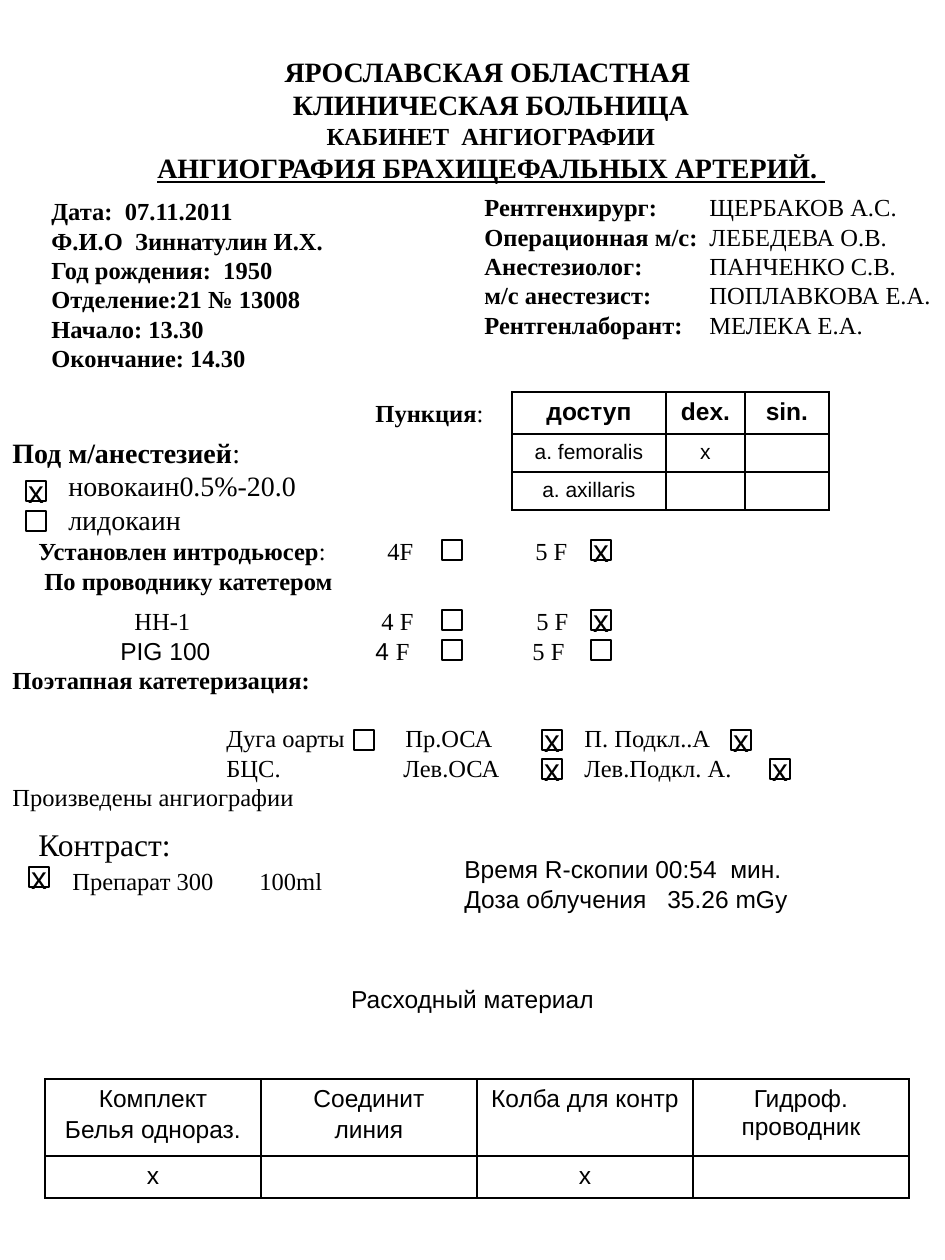
from lxml.etree import SubElement
from pptx import Presentation
from pptx.dml.color import RGBColor as Rgb
from pptx.enum.shapes import MSO_SHAPE as Shape
from pptx.enum.text import MSO_ANCHOR as Anchor, PP_ALIGN as Align
from pptx.oxml.ns import qn
from pptx.util import Emu, Pt

COLORS = {"ink": "000000"}
INK = Rgb.from_string(COLORS["ink"])
SERIF = {"name": "Times New Roman", "size": Pt(14)}
SANS = {"name": "Arial", "size": Pt(14)}
BOLD = {"bold": True}
PLAIN = {"bold": False}
LARGE = {"size": Pt(16)}


def px(value):
    return Emu(round(value * 914400 / 126))


def write(frame, lines, base, align=Align.LEFT):
    for index, (runs, tabs, gap) in enumerate(lines):
        line = frame.paragraphs[0] if index == 0 else frame.add_paragraph()
        line.alignment = align
        if gap:
            line.space_before = px(gap)
        if tabs:
            stops = SubElement(line._p.get_or_add_pPr(), qn("a:tabLst"))
            for tab in tabs:
                SubElement(stops, qn("a:tab"), pos=str(px(tab)), algn="l")
        for text, changes in runs:
            run = line.add_run()
            run.text = text
            for key, value in {**base, **changes}.items():
                setattr(run.font, key, value)
            run.font.color.rgb = INK


deck = Presentation()
deck.slide_width, deck.slide_height = px(945), px(1260)
slide = deck.slides.add_slide(deck.slide_layouts[6])

title = [
    ([("ЯРОСЛАВСКАЯ ОБЛАСТНАЯ ", LARGE)], (), 0),
    ([("КЛИНИЧЕСКАЯ БОЛЬНИЦА", LARGE)], (), 0),
    ([("КАБИНЕТ  АНГИОГРАФИИ", {})], (), 0),
    ([("АНГИОГРАФИЯ БРАХИЦЕФАЛЬНЫХ АРТЕРИЙ. ", {**LARGE, "underline": True})], (), 0),
]
patient = [([(text, {})], (), 0) for text in (
    "Дата:  07.11.2011", "Ф.И.О  Зиннатулин И.Х.", "Год рождения:  1950",
    "Отделение:21 № 13008", "Начало: 13.30", "Окончание: 14.30")]
staff = [([(role + ":\t", BOLD), (person, {})], (225,), 0) for role, person in (
    ("Рентгенхирург", "ЩЕРБАКОВ А.С."),
    ("Операционная м/с", "ЛЕБЕДЕВА О.В."),
    ("Анестезиолог", "ПАНЧЕНКО С.В."),
    ("м/с анестезист", "ПОПЛАВКОВА Е.А."),
    ("Рентгенлаборант", "МЕЛЕКА Е.А."))]
puncture = [([("Пункция", BOLD), (":", {})], (), 0)]
anesthesia = [
    ([("Под м/анестезией", BOLD), (":", {})], (), 0),
    ([("\tновокаин0.5%-20.0", {})], (56,), 0),
    ([("\tлидокаин", {})], (56,), 0),
]
introducer = [
    ([("Установлен интродьюсер", BOLD), (":\t4F\t5 F", {})], (349, 497), 0),
    ([("\tПо проводнику катетером", BOLD)], (6,), 0),
]
catheters = [
    ([("\tНН-1\t4 F\t5 F", {})], (122, 369, 524), 0),
    ([("\tРIG 100\t4 ", SANS), ("F\t5 F", {})], (108, 363, 520), 0),
    ([("Поэтапная катетеризация:", BOLD)], (), 0),
    ([("\tДуга оарты\tПр.ОСА\tП. Подкл..А", {})], (214, 393, 572), 29),
    ([("\tБЦС.\tЛев.ОСА\tЛев.Подкл. А.", {})], (214, 391, 572), 0),
    ([("Произведены ангиографии", {})], (), 0),
]
contrast = [
    ([("Контраст:", {"size": Pt(18)})], (), 0),
    ([("\tПрепарат 300\t100ml", {})], (34, 221), 3),
]
exposure = [
    ([("Время R-скопии 00:54  мин.", {})], (), 0),
    ([("Доза облучения\t35.26 mGy", {})], (203,), 0),
]
supplies = [([("Расходный материал", {})], (), 0)]

for place, lines, base, align in (
    ((66, 48, 850, 144), title, {**SERIF, **BOLD}, Align.CENTER),
    ((39, 190, 354, 190), patient, {**SERIF, **BOLD}, Align.LEFT),
    ((472, 186, 473, 161), staff, SERIF, Align.LEFT),
    ((363, 392, 145, 42), puncture, SERIF, Align.LEFT),
    ((0, 429, 431, 115), anesthesia, {**SERIF, **LARGE}, Align.LEFT),
    ((26, 530, 796, 72), introducer, SERIF, Align.LEFT),
    ((0, 600, 945, 220), catheters, SERIF, Align.LEFT),
    ((26, 819, 419, 86), contrast, SERIF, Align.LEFT),
    ((452, 848, 393, 72), exposure, SANS, Align.LEFT),
    ((0, 978, 945, 42), supplies, SANS, Align.CENTER),
):
    frame = slide.shapes.add_textbox(*map(px, place)).text_frame
    frame.word_wrap = True
    write(frame, lines, base, align)

for left, top, mark in (
    (26, 481, "х"), (26, 511, ""),
    (442, 540, ""), (591, 540, "х"),
    (442, 610, ""), (591, 610, "х"),
    (442, 640, ""), (591, 640, ""),
    (354, 730, ""), (542, 730, "х"), (731, 730, "х"),
    (542, 759, "х"), (770, 759, "х"),
    (29, 867, "х"),
):
    checkbox = slide.shapes.add_shape(Shape.RECTANGLE, px(left), px(top), px(20), px(20))
    checkbox.shadow.inherit = False
    checkbox.fill.background()
    checkbox.line.color.rgb = INK
    checkbox.line.width = Pt(0.75)
    if mark:
        checkbox.text_frame.word_wrap = False
        checkbox.text_frame.vertical_anchor = Anchor.MIDDLE
        write(checkbox.text_frame, [([(mark, {})], (), 0)],
              {**SANS, "size": Pt(18)}, Align.CENTER)

access = [["доступ", "dex.", "sin."], ["a. femoralis", "х", ""], ["a. axillaris", "", ""]]
materials = [
    ["Комплект\nБелья однораз.", "Соединит\nлиния", "Колба для контр", "Гидроф. проводник"],
    ["х", "", "х", ""],
]
for left, top, widths, heights, rows, formats in (
    (512, 392, (154, 79, 84), (42, 38, 38), access,
     ({**SANS, **BOLD}, {**SANS, "size": Pt(12)}, {**SANS, "size": Pt(12)})),
    (45, 1079, (216,) * 4, (77, 42), materials, (SANS, SANS)),
):
    grid = slide.shapes.add_table(len(rows), len(widths), px(left), px(top),
                                  px(sum(widths)), px(sum(heights))).table
    grid.first_row = grid.horz_banding = False
    for column, width in zip(grid.columns, widths):
        column.width = px(width)
    for r, (row, height, base) in enumerate(zip(rows, heights, formats)):
        grid.rows[r].height = px(height)
        for c, text in enumerate(row):
            cell = grid.cell(r, c)
            props = cell._tc.get_or_add_tcPr()
            for side in ("a:lnL", "a:lnR", "a:lnT", "a:lnB"):
                border = SubElement(props, qn(side), w=str(Pt(1)))
                paint = SubElement(border, qn("a:solidFill"))
                SubElement(paint, qn("a:srgbClr"), val=COLORS["ink"])
            cell.fill.background()
            if text:
                lines = [([(part, PLAIN if base is SANS else {})], (), 3 * (i > 0))
                         for i, part in enumerate(text.split("\n"))]
                write(cell.text_frame, lines, base, Align.CENTER)
            else:
                end = cell.text_frame.paragraphs[0]._p.get_or_add_endParaRPr()
                end.set("sz", str(int(base["size"].pt * 100)))

deck.save("out.pptx")
